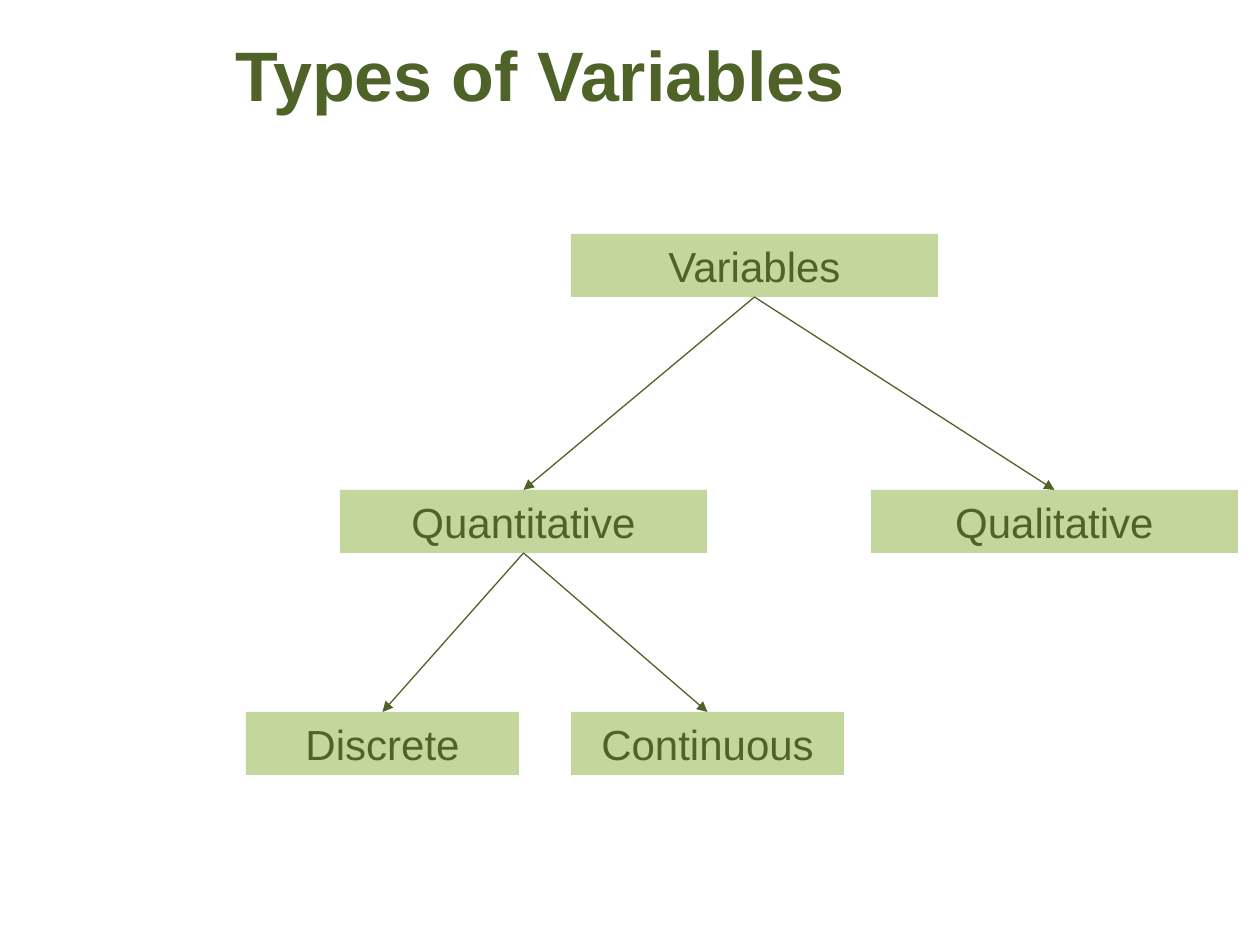
from lxml.etree import SubElement
from pptx import Presentation
from pptx.dml.color import RGBColor
from pptx.enum.shapes import MSO_CONNECTOR, MSO_SHAPE
from pptx.enum.text import MSO_ANCHOR, PP_ALIGN
from pptx.oxml.ns import qn
from pptx.util import Pt

SCALE = 914400 / 126
DARK, LIGHT = "4F6228", "C3D69B"
TOP, BOTTOM = 0, 2
NODES = {
    "Variables": (348, 0, 367),
    "Quantitative": (117, 256, 367),
    "Qualitative": (648, 256, 367),
    "Discrete": (23, 478, 273),
    "Continuous": (348, 478, 273),
}
LINKS = {
    "Variables": ("Quantitative", "Qualitative"),
    "Quantitative": ("Discrete", "Continuous"),
}


def px(size):
    """Turn pixels into EMU."""
    return round(size * SCALE)


def color(code):
    """Turn a hex string into a colour."""
    return RGBColor.from_string(code)


def write(shape, text, size=24, bold=False, align=PP_ALIGN.CENTER):
    """Put formatted text in a shape."""
    frame = shape.text_frame
    frame.word_wrap = True
    frame.vertical_anchor = MSO_ANCHOR.MIDDLE
    para = frame.paragraphs[0]
    para.alignment = align
    run = para.add_run()
    run.text = text
    font = run.font
    font.name, font.size, font.bold = "Arial", Pt(size), bold
    font.color.rgb = color(DARK)


def add_node(slide, text, left, top, width, height=63):
    """Draw one labelled box of the tree."""
    node = slide.shapes.add_shape(
        MSO_SHAPE.RECTANGLE, px(left), px(top), px(width), px(height))
    node.shadow.inherit = False
    node.fill.solid()
    node.fill.fore_color.rgb = color(LIGHT)
    node.line.fill.background()
    write(node, text)
    return node


def add_arrow(slide, parent, child):
    """Join the foot of one box to the top of another."""
    arrow = slide.shapes.add_connector(MSO_CONNECTOR.STRAIGHT, 0, 0, 0, 0)
    arrow.begin_connect(parent, BOTTOM)
    arrow.end_connect(child, TOP)
    arrow.line.width = Pt(0.75)
    arrow.line.color.rgb = color(DARK)
    SubElement(arrow.line._get_or_add_ln(), qn("a:tailEnd"), type="triangle")
    SubElement(arrow._element.spPr, qn("a:effectLst"))


def add_title(slide, left, top, width, height):
    """Place and format the title."""
    title = slide.shapes.title
    title.left, title.top = px(left), px(top)
    title.width, title.height = px(width), px(height)
    write(title, "Types of Variables", size=40, bold=True, align=PP_ALIGN.LEFT)


def add_tree(slide, left, top):
    """Draw the tree of boxes and arrows."""
    boxes = {
        text: add_node(slide, text, left + x, top + y, width)
        for text, (x, y, width) in NODES.items()
    }
    for parent, children in LINKS.items():
        for child in children:
            add_arrow(slide, boxes[parent], boxes[child])


def main():
    """Build and save the slide."""
    deck = Presentation()
    deck.slide_width, deck.slide_height = px(1260), px(945)
    slide = deck.slides.add_slide(deck.slide_layouts[5])
    add_title(slide, 223, 0, 1037, 147)
    add_tree(slide, 223, 234)
    deck.save("out.pptx")


if __name__ == "__main__":
    main()
